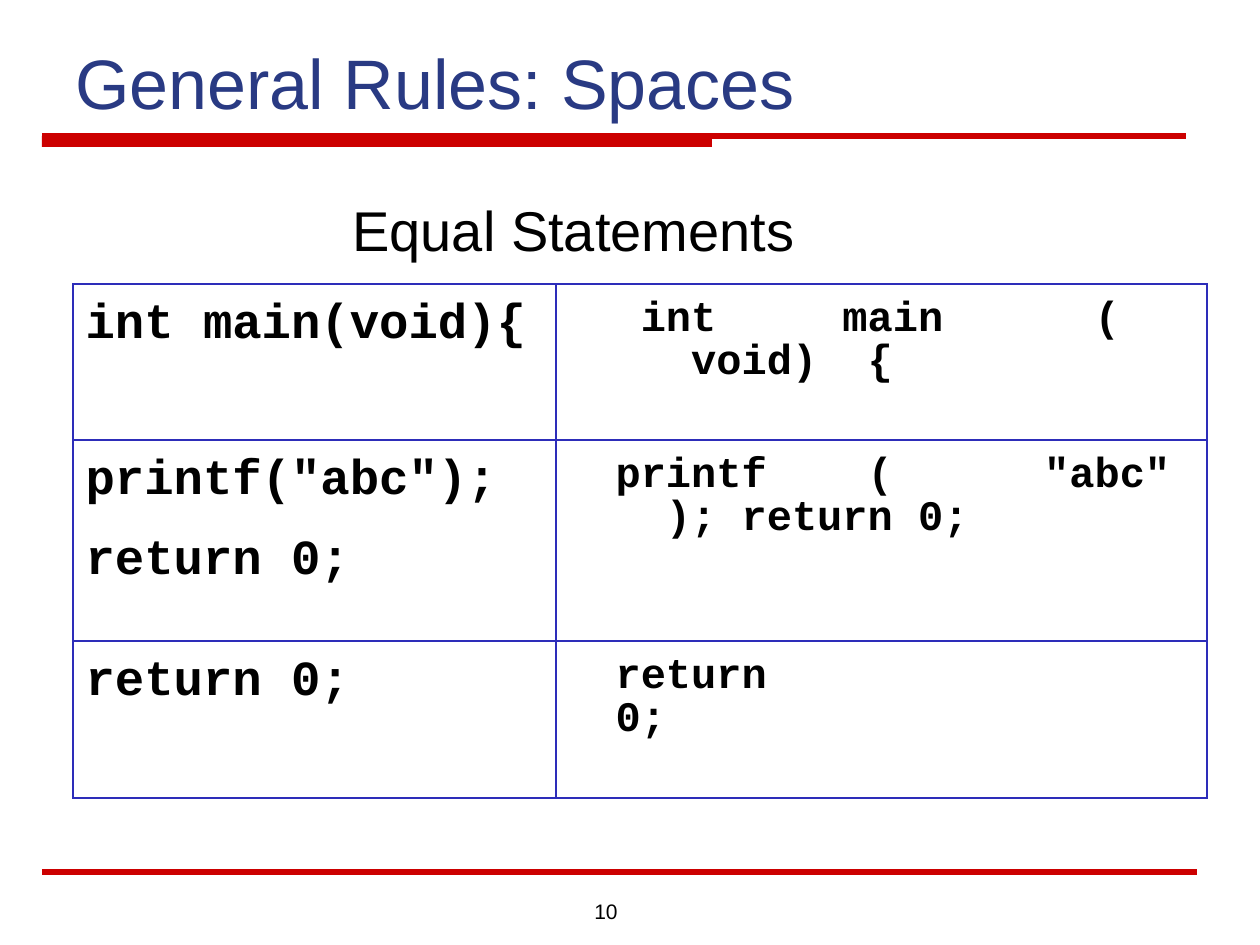
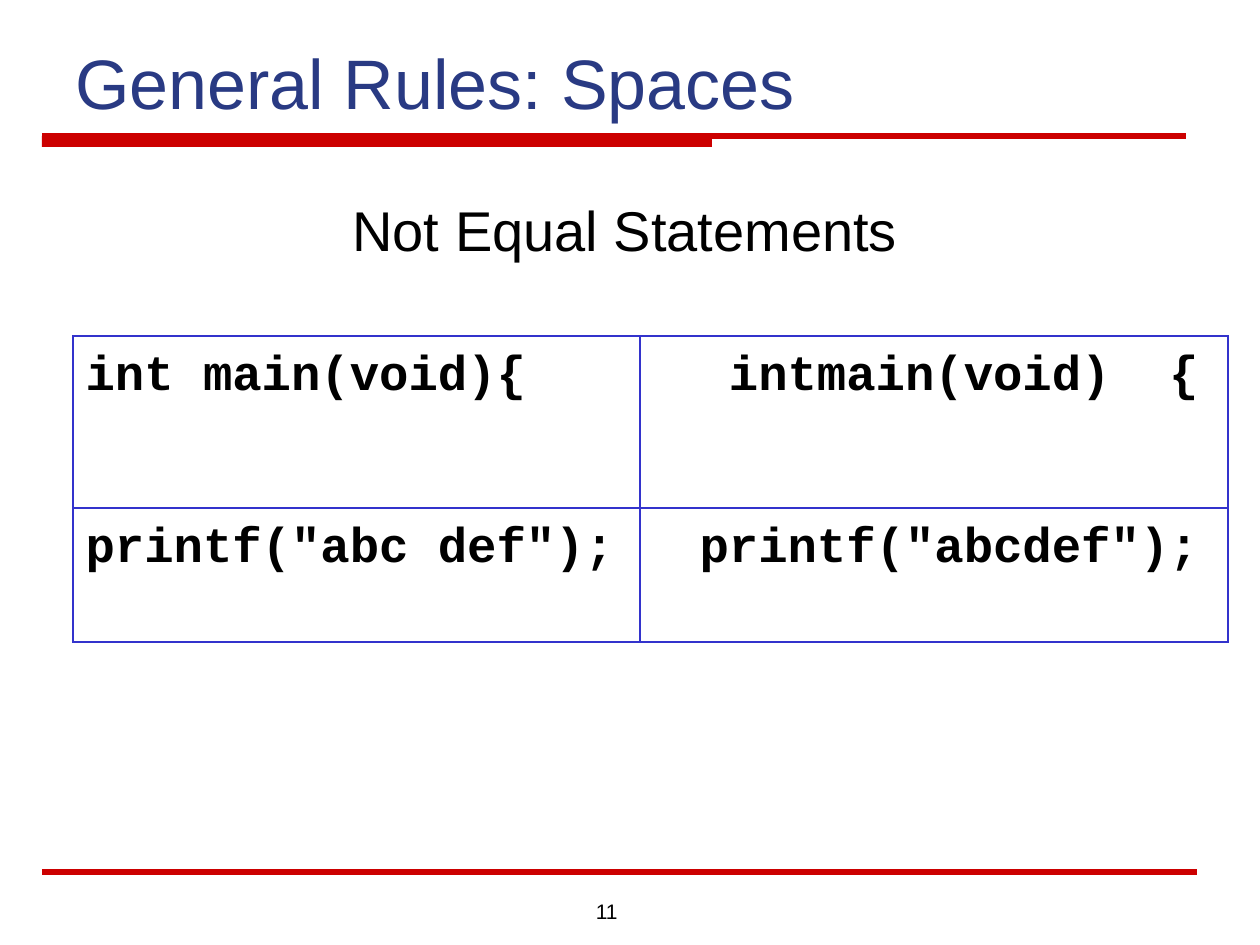
"""Build two slides comparing how spaces affect C statements."""
from dataclasses import dataclass

from lxml.etree import SubElement
from pptx import Presentation
from pptx.dml.color import RGBColor
from pptx.enum.shapes import MSO_CONNECTOR as Connector, MSO_SHAPE as Shape
from pptx.enum.text import MSO_ANCHOR as Anchor, MSO_AUTO_SIZE as AutoSize, PP_ALIGN as Align
from pptx.oxml import parse_xml
from pptx.oxml.ns import nsdecls, qn
from pptx.slide import Slide
from pptx.table import _Cell as Cell
from pptx.text.text import _Paragraph as Paragraph
from pptx.util import Emu, Pt

EMU_PER_PIXEL = 914400 / 126
COLORS = {
    "title": "293A83",
    "rule": "CC0000",
    "text": "000000",
    "equal_grid": "2D2DB9",
    "unequal_grid": "3333CC",
}
TITLE_ONLY = 5
LEFT_EDGE = 42
INDENT = 47
HEADING_INDENT = 109


@dataclass(frozen=True)
class CodeStyle:
    """Type size, spacing and indent of one table column."""
    size: int
    space_before: float
    top_inset: int
    level: int = 0


@dataclass(frozen=True)
class Comparison:
    """One slide: a heading above a two-column table of code."""
    number: int
    heading: str
    top: int
    widths: tuple[int, int]
    heights: tuple[int, ...]
    grid: str
    right_style: CodeStyle
    rows: tuple[tuple[str, str], ...]


LEFT_STYLE = CodeStyle(28, 17.5, 15)
COMPARISONS = (
    Comparison(
        10, "Equal Statements", 284, (483, 651), (156, 201, 157), "equal_grid",
        CodeStyle(24, 6, 14, 1),
        (
            ("int main(void){", " int     main      (      void)  {"),
            ('printf("abc");\nreturn 0;', 'printf    (      "abc"   ); return 0;'),
            ("return 0;", "return                0;"),
        ),
    ),
    Comparison(
        11, "Not Equal Statements", 336, (567, 588), (172, 134), "unequal_grid",
        CodeStyle(28, 7, 15, 1),
        (
            ("int main(void){", " intmain(void)  {"),
            ('printf("abc def");', 'printf("abcdef");'),
        ),
    ),
)


def px(pixels: float) -> Emu:
    """Turn pixels into EMU."""
    return Emu(round(pixels * EMU_PER_PIXEL))


def rgb(name: str) -> RGBColor:
    """Look up a named colour."""
    return RGBColor.from_string(COLORS[name])


def set_font(paragraph: Paragraph, size: int, color: str = "text",
             name: str = "Arial", bold: bool = False) -> None:
    """Format a whole paragraph."""
    font = paragraph.font
    font.size, font.name, font.bold = Pt(size), name, bold
    font.color.rgb = rgb(color)


def indent(paragraph: Paragraph, pixels: int) -> None:
    """Set the left margin of a paragraph."""
    properties = paragraph._p.get_or_add_pPr()
    properties.set("marL", str(px(pixels)))
    properties.set("indent", "0")


def add_rule(slide: Slide, top: int, right: int) -> None:
    """Draw a horizontal red rule from the left edge."""
    rule = slide.shapes.add_connector(
        Connector.STRAIGHT, px(LEFT_EDGE), px(top), px(right), px(top))
    rule.line.color.rgb = rgb("rule")
    rule.line.width = Pt(3)
    SubElement(rule._element.spPr, qn("a:effectLst"))


def add_frame(slide: Slide) -> None:
    """Draw the title band and both rules."""
    band = slide.shapes.add_shape(
        Shape.RECTANGLE, px(LEFT_EDGE), px(136), px(670), px(11))
    band.shadow.inherit = False
    band.fill.solid()
    band.fill.fore_color.rgb = rgb("rule")
    band.line.fill.background()
    add_rule(slide, 136, 1186)
    add_rule(slide, 872, 1197)


def set_title(slide: Slide, text: str) -> None:
    """Place and format the title placeholder."""
    title = slide.shapes.title
    title.left, title.top, title.width, title.height = map(px, (63, 21, 1134, 109))
    frame = title.text_frame
    frame.text = text
    frame.auto_size = AutoSize.NONE
    frame.vertical_anchor = Anchor.BOTTOM
    paragraph = frame.paragraphs[0]
    paragraph.alignment = Align.LEFT
    set_font(paragraph, 40, "title")


def add_text(slide: Slide, box: tuple[int, int, int, int], text: str, size: int) -> Paragraph:
    """Add a wrapped one-paragraph text box."""
    frame = slide.shapes.add_textbox(*map(px, box)).text_frame
    frame.word_wrap = True
    paragraph = frame.paragraphs[0]
    paragraph.text = text
    set_font(paragraph, size)
    return paragraph


def set_borders(cell: Cell, color: str) -> None:
    """Give a cell one-point borders on all sides."""
    properties = cell._tc.get_or_add_tcPr()
    for position, side in enumerate(("lnL", "lnR", "lnT", "lnB")):
        properties.insert(position, parse_xml(
            f'<a:{side} {nsdecls("a")} w="12700"><a:solidFill>'
            f'<a:srgbClr val="{COLORS[color]}"/></a:solidFill></a:{side}>'))


def fill_cell(cell: Cell, code: str, style: CodeStyle, grid: str) -> None:
    """Write code into a cell and format it."""
    cell.fill.background()
    set_borders(cell, grid)
    cell.margin_top = px(style.top_inset)
    cell.text = code
    for paragraph in cell.text_frame.paragraphs:
        paragraph.level = style.level
        paragraph.line_spacing = 0.89
        paragraph.space_before = Pt(style.space_before)
        indent(paragraph, style.level * INDENT)
        set_font(paragraph, style.size, name="Courier New", bold=True)


def add_code_table(slide: Slide, comparison: Comparison) -> None:
    """Draw the table of compared statements."""
    widths, heights = comparison.widths, comparison.heights
    table = slide.shapes.add_table(
        len(heights), len(widths), px(73), px(comparison.top),
        px(sum(widths)), px(sum(heights))).table
    table.first_row = table.horz_banding = False
    for column, width in zip(table.columns, widths):
        column.width = px(width)
    styles = (LEFT_STYLE, comparison.right_style)
    for row, height, codes in zip(table.rows, heights, comparison.rows):
        row.height = px(height)
        for cell, code, style in zip(row.cells, codes, styles):
            fill_cell(cell, code, style, comparison.grid)


def add_comparison(presentation: Presentation, comparison: Comparison) -> None:
    """Build one comparison slide."""
    slide = presentation.slides.add_slide(presentation.slide_layouts[TITLE_ONLY])
    add_frame(slide)
    number = add_text(slide, (546, 892, 84, 34), str(comparison.number), 12)
    number.alignment = Align.RIGHT
    set_title(slide, "General Rules: Spaces")
    add_code_table(slide, comparison)
    heading = add_text(slide, (231, 189, 788, 81), comparison.heading, 32)
    heading.space_before = Pt(20)
    indent(heading, HEADING_INDENT)


def main() -> None:
    """Build and save the presentation."""
    presentation = Presentation()
    presentation.slide_width, presentation.slide_height = px(1260), px(945)
    for comparison in COMPARISONS:
        add_comparison(presentation, comparison)
    presentation.save("out.pptx")


main()
